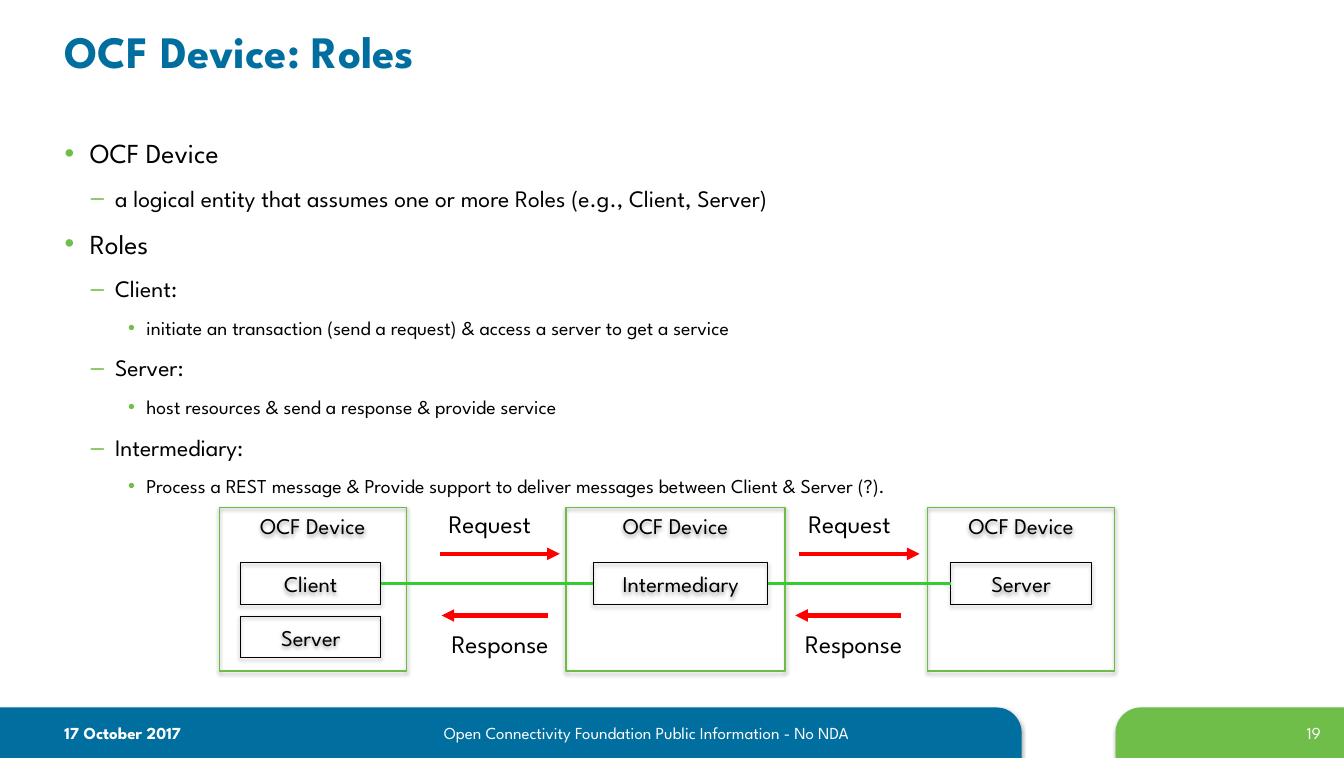
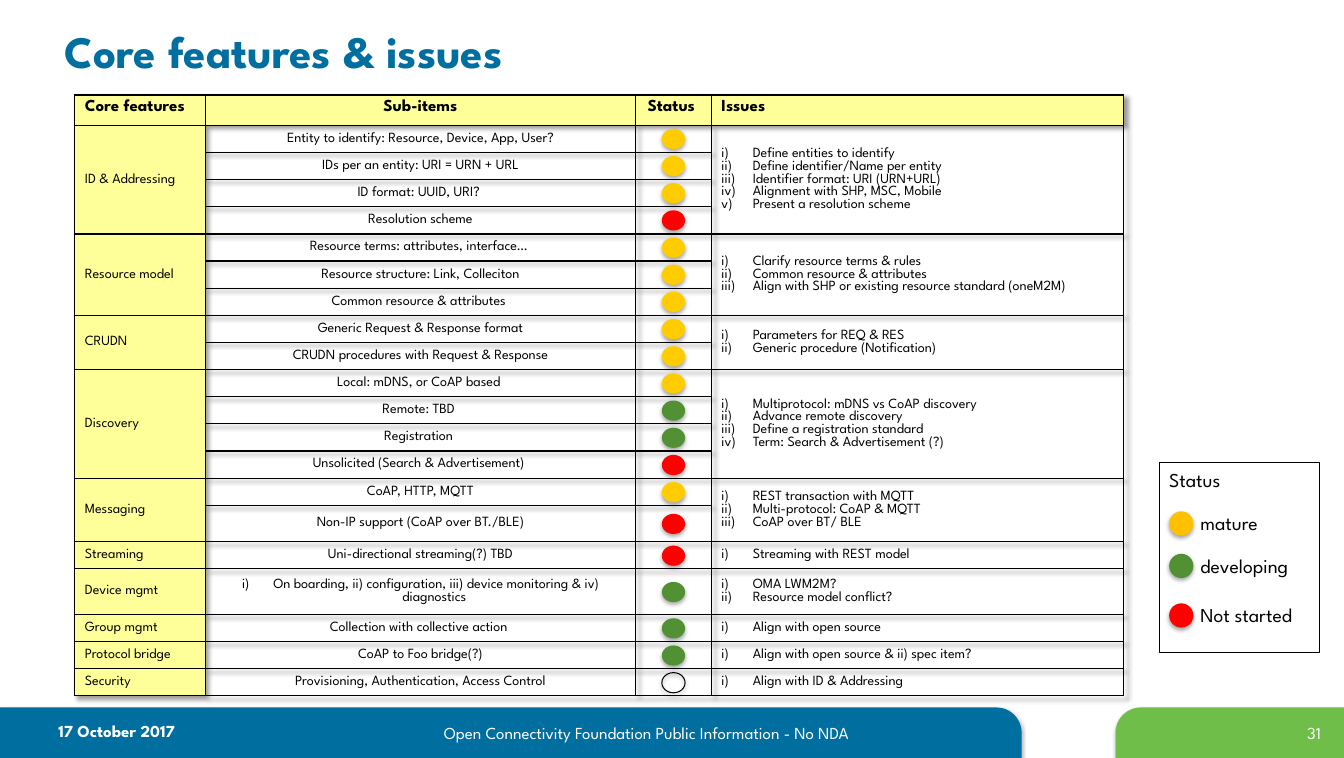
from lxml import etree
from pptx import Presentation
from pptx.dml.color import RGBColor
from pptx.enum.shapes import MSO_CONNECTOR, MSO_SHAPE
from pptx.enum.text import MSO_ANCHOR, PP_ALIGN
from pptx.oxml.ns import qn
from pptx.util import Inches, Pt

RECT, OVAL, ROUND = MSO_SHAPE.RECTANGLE, MSO_SHAPE.OVAL, MSO_SHAPE.ROUND_1_RECTANGLE
LINE = MSO_CONNECTOR.STRAIGHT
LEFT, MID, RIGHT = PP_ALIGN.LEFT, PP_ALIGN.CENTER, PP_ALIGN.RIGHT
TOP, CENTER = MSO_ANCHOR.TOP, MSO_ANCHOR.MIDDLE

FONT = "League Spartan"
COLORS = {
    "blue": "006E9F", "leaf": "6EBE49", "edge": "6BBD45", "link": "33CC33",
    "black": "000000", "white": "FFFFFF", "cream": "FFFF99",
    "amber": "FFC000", "gold": "FFCC00", "green": "519134", "red": "FF0000",
}
LEVELS = [(0.25, -0.25, "•", 19.6, 4.6), (0.5, -0.24, "–", 16.8, 4.1), (0.81, -0.18, "•", 14, 3.5)]
ROLES = [
    (0, "OCF Device"),
    (1, "a logical entity that assumes one or more Roles (e.g., Client, Server)"),
    (0, "Roles"),
    (1, "Client:"),
    (2, "initiate an transaction (send a request) & access a server to get a service"),
    (1, "Server:"),
    (2, "host resources & send a response & provide service"),
    (1, "Intermediary:"),
    (2, "Process a REST message & Provide support to deliver messages between Client & Server (?)."),
]
HEADS = ["Core features", "Sub-items", "Status ", "Issues"]
COLS = [1.29, 4.26, 0.75, 4.08]
HEAD_H, TABLE_H, TALL = 0.3, 5.95, {15: 0.36, 17: 0.45}
FEATURES = [
    ("ID & Addressing",
     [("Entity to identify: Resource, Device, App, User?", "gold"),
      ("IDs per an entity: URI = URN + URL", "gold"),
      ("ID format: UUID, URI? ", "gold"), ("Resolution scheme", "red")],
     ["Define entities to identify", "Define identifier/Name per entity",
      "Identifier format: URI (URN+URL)", "Alignment with SHP, MSC, Mobile",
      "Present a resolution scheme"]),
    ("Resource model",
     [("Resource terms: attributes, interface… ", "gold"),
      ("Resource structure: Link, Colleciton", "gold"),
      ("Common resource & attributes ", "gold")],
     ["Clarify resource terms & rules", "Common resource & attributes",
      "Align with SHP or existing resource standard (oneM2M)"]),
    ("CRUDN",
     [("Generic Request & Response format", "gold"),
      ("CRUDN procedures with Request & Response", "gold")],
     ["Parameters for REQ & RES", "Generic procedure (Notification)"]),
    ("Discovery",
     [("Local: mDNS, or CoAP based ", "gold"), ("Remote: TBD ", "green"),
      ("Registration ", "green"), ("Unsolicited (Search & Advertisement) ", "red")],
     ["Multiprotocol: mDNS vs CoAP discovery", "Advance remote discovery",
      "Define a registration standard", "Term: Search & Advertisement (?)"]),
    ("Messaging",
     [("CoAP, HTTP, MQTT", "gold"), ("Non-IP support (CoAP over BT./BLE)", "red")],
     ["REST transaction with MQTT", "Multi-protocol: CoAP & MQTT", "CoAP over BT/ BLE"]),
    ("Streaming", [("Uni-directional streaming(?) TBD", "red")], ["Streaming with REST model"]),
    ("Device mgmt",
     [(["On boarding, ii) configuration, iii) device monitoring & iv) diagnostics "], "green")],
     ["OMA LWM2M?", "Resource model conflict?"]),
    ("Group mgmt", [("Collection with collective action ", "green")], ["Align with open source"]),
    ("Protocol bridge", [("CoAP to Foo bridge(?)", "green")],
     ["Align with open source & ii) spec item?"]),
    ("Security", [("Provisioning, Authentication, Access Control", None)],
     ["Align with ID & Addressing"]),
]


def rgb(name):
    """Return the named colour."""
    return RGBColor.from_string(COLORS[name])


def sub(parent, tag, **attrs):
    """Append a drawing element with attributes."""
    node = etree.SubElement(parent, qn(tag))
    for key, val in attrs.items():
        node.set(key, str(val))
    return node


def shade(effects, dist, alpha, angle=90):
    """Fill an effect list with a soft outer shadow."""
    drop = sub(effects, "a:outerShdw", blurRad=Pt(3.1), dist=Pt(dist),
               dir=angle * 60000, rotWithShape=0)
    sub(sub(drop, "a:srgbClr", val=COLORS["black"]), "a:alpha", val=alpha * 1000)


def style(par, size, color="black", bold=False, align=LEFT):
    """Format a paragraph and its runs."""
    par.alignment = align
    for run in par.runs:
        font = run.font
        font.name, font.size, font.bold = FONT, Pt(size), bold
        font.color.rgb = rgb(color)


def indent(par, left, hang):
    """Set a hanging indent and return the paragraph properties."""
    props = par._p.get_or_add_pPr()
    props.set("marL", str(Inches(left)))
    props.set("indent", str(Inches(hang)))
    return props


def label(slide, text, x, y, w, h, size, color="black", bold=False, align=LEFT, anchor=TOP):
    """Add a text box with one paragraph."""
    frame = slide.shapes.add_textbox(Inches(x), Inches(y), Inches(w), Inches(h)).text_frame
    frame.word_wrap = True
    frame.vertical_anchor = anchor
    frame.text = text
    style(frame.paragraphs[0], size, color, bold, align)


def shape(slide, kind, x, y, w, h, fill=None, line=None, width=0.75, drop=None):
    """Add a preset shape with optional fill, outline and shadow."""
    item = slide.shapes.add_shape(kind, Inches(x), Inches(y), Inches(w), Inches(h))
    if fill:
        item.fill.solid()
        item.fill.fore_color.rgb = rgb(fill)
    else:
        item.fill.background()
    if line:
        item.line.color.rgb = rgb(line)
        item.line.width = Pt(width)
    else:
        item.line.fill.background()
    item.shadow.inherit = False
    if drop:
        shade(item._element.spPr.find(qn("a:effectLst")), *drop)
    return item


def box(slide, text, x, y, w, h, line="black", width=0.75, size=16,
        align=MID, anchor=CENTER, drop=(1.6, 38)):
    """Add an outlined rectangle with text."""
    item = shape(slide, RECT, x, y, w, h, None, line, width, drop)
    frame = item.text_frame
    frame.vertical_anchor = anchor
    frame.text = text
    style(frame.paragraphs[0], size, align=align)
    return item


def wire(slide, x1, x2, y, color, width, arrow=False):
    """Add a level line, with an arrowhead at its end if asked."""
    item = slide.shapes.add_connector(LINE, Inches(x1), Inches(y), Inches(x2), Inches(y))
    item.line.color.rgb = rgb(color)
    item.line.width = Pt(width)
    if arrow:
        sub(item.line._get_or_add_ln(), "a:tailEnd", type="triangle")
    sub(item._element.spPr, "a:effectLst")
    return item


def dot(slide, x, y, w, h, color):
    """Add a status dot, hollow when it has no colour."""
    shape(slide, OVAL, x, y, w, h, color, None if color else "black", drop=(1.8, 35))


def base(deck, title, page, x=0.54, y=7.1):
    """Add a slide with its title, bands and footer."""
    slide = deck.slides.add_slide(deck.slide_layouts[6])
    for left, wide, color in [(0, 10.11, "blue"), (11.04, 2.26, "leaf")]:
        band = shape(slide, ROUND, left, 7, wide, 0.5, color, drop=(1.8, 35))
        band.adjustments[0] = 0.5
    band._element.spPr.xfrm.set("flipH", "1")
    label(slide, title, 0.54, 0.1, 11.26, 0.79, 32, "blue", True, anchor=CENTER)
    label(slide, "17 October 2017", x, y, 2.54, 0.29, 12, "white", True)
    label(slide, "Open Connectivity Foundation Public Information - No NDA",
          3.27, 7.1, 6.26, 0.28, 12, "white", align=MID)
    label(slide, str(page), 11.83, 7.1, 1.34, 0.38, 12, "white", align=RIGHT)
    return slide


def outline(slide, items):
    """Add the bulleted list of roles."""
    frame = slide.shapes.add_textbox(
        Inches(0.54), Inches(1.3), Inches(12.25), Inches(3.6)).text_frame
    frame.word_wrap = True
    for num, (level, text) in enumerate(items):
        par = frame.add_paragraph() if num else frame.paragraphs[0]
        left, hang, mark, size, before = LEVELS[level]
        par.level = level
        par.space_before = Pt(before if num else 0)
        par.space_after = Pt(6)
        props = indent(par, left, hang)
        sub(sub(props, "a:buClr"), "a:srgbClr", val=COLORS["leaf"])
        sub(props, "a:buFont", typeface="Arial")
        sub(props, "a:buChar", char=mark)
        par.text = text
        style(par, size)


def flow(slide):
    """Draw the devices and the messages between them."""
    for x, w in [(2.17, 1.85), (5.6, 2.17), (9.18, 1.85)]:
        box(slide, "OCF Device", x, 5.02, w, 1.62, "edge", 1, anchor=TOP)
    box(slide, "Server", 2.38, 6.1, 1.39, 0.41)
    parts = [box(slide, text, x, 5.57, w, 0.41) for text, x, w in
             [("Client", 2.38, 1.39), ("Intermediary", 5.87, 1.73), ("Server", 9.41, 1.39)]]
    for start, end in zip(parts, parts[1:]):
        link = wire(slide, 0, 1, 5.77, "link", 2.25)
        link.begin_connect(start, 3)
        link.end_connect(end, 1)
    for ask, reply in [(4.35, 4.37), (7.91, 7.87)]:
        label(slide, "Request", ask - 0.01, 4.98, 1.19, 0.4, 18)
        wire(slide, ask, ask + 1.19, 5.48, "red", 3, True)
        wire(slide, reply + 1.05, reply, 6.09, "red", 3, True)
        label(slide, "Response", reply, 6.17, 1.37, 0.4, 18)


def write(cell, text, size=10, bold=False, align=LEFT, anchor=CENTER):
    """Write a cell, numbering its lines when given a list."""
    listed = isinstance(text, list)
    cell.vertical_anchor = anchor
    cell.text_frame.text = "\n".join(text) if listed else text
    for par in cell.text_frame.paragraphs:
        if listed:
            sub(indent(par, 0.31, -0.31), "a:buAutoNum", type="romanLcParenR")
        style(par, size, bold=bold, align=align)


def dress(cell, fill):
    """Give a cell its borders, fill and small empty line."""
    props = cell._tc.get_or_add_tcPr()
    for side in "LRTB":
        edge = sub(props, "a:ln" + side, w=Pt(1))
        sub(sub(edge, "a:solidFill"), "a:srgbClr", val=COLORS["black"])
    if fill:
        cell.fill.solid()
        cell.fill.fore_color.rgb = rgb("cream")
    else:
        cell.fill.background()
    sub(cell.text_frame.paragraphs[0]._p, "a:endParaRPr", sz=1000)


def matrix(slide, left, top):
    """Add the feature table with its status dots."""
    count = 1 + sum(len(subs) for _, subs, _ in FEATURES)
    row_h = (TABLE_H - HEAD_H - sum(TALL.values())) / (count - 1 - len(TALL))
    highs = [HEAD_H] + [TALL.get(row, row_h) for row in range(1, count)]
    table = slide.shapes.add_table(count, 4, Inches(left), Inches(top),
                                   Inches(sum(COLS)), Inches(TABLE_H)).table
    table.first_row = table.horz_banding = False
    effects = etree.Element(qn("a:effectLst"))
    shade(effects, 3, 40, 45)
    table._tbl.tblPr.insert(0, effects)
    for col, wide in enumerate(COLS):
        table.columns[col].width = Inches(wide)
    for row, high in enumerate(highs):
        table.rows[row].height = Inches(high)
        for col in range(4):
            dress(table.cell(row, col), row == 0 or col == 0)
    for col, text in enumerate(HEADS):
        write(table.cell(0, col), text, 12, True, MID if col in (1, 2) else LEFT, TOP)
    mid = left + sum(COLS[:2]) + COLS[2] / 2
    row = 1
    for name, subs, issues in FEATURES:
        for col, text in [(0, name), (3, issues)]:
            cell = table.cell(row, col)
            if len(subs) > 1:
                cell.merge(table.cell(row + len(subs) - 1, col))
            write(cell, text)
        for text, color in subs:
            write(table.cell(row, 1), text, align=MID)
            y = top + sum(highs[:row]) + highs[row] / 2
            dot(slide, mid - 0.23 / 2, y - 0.1, 0.23, 0.2, color)
            row += 1


def legend(slide):
    """Add the key to the status colours."""
    box(slide, "Status", 11.47, 4.58, 1.59, 1.88, size=14, align=LEFT, anchor=TOP, drop=None)
    for text, color, y in [("mature", "amber", 5.06), ("developing", "green", 5.48),
                           ("Not started", "red", 5.97)]:
        label(slide, text, 11.78, y - 0.05, 1.29, 0.34, 14)
        dot(slide, 11.57, y, 0.24, 0.24, color)


def main():
    """Build and save the deck."""
    deck = Presentation()
    deck.slide_width, deck.slide_height = Inches(13.3), Inches(7.5)
    roles = base(deck, "OCF Device: Roles", 19)
    outline(roles, ROLES)
    flow(roles)
    core = base(deck, "Core features & issues", 31, 0.48, 7.08)
    matrix(core, 0.74, 0.94)
    legend(core)
    deck.save("out.pptx")


if __name__ == "__main__":
    main()
